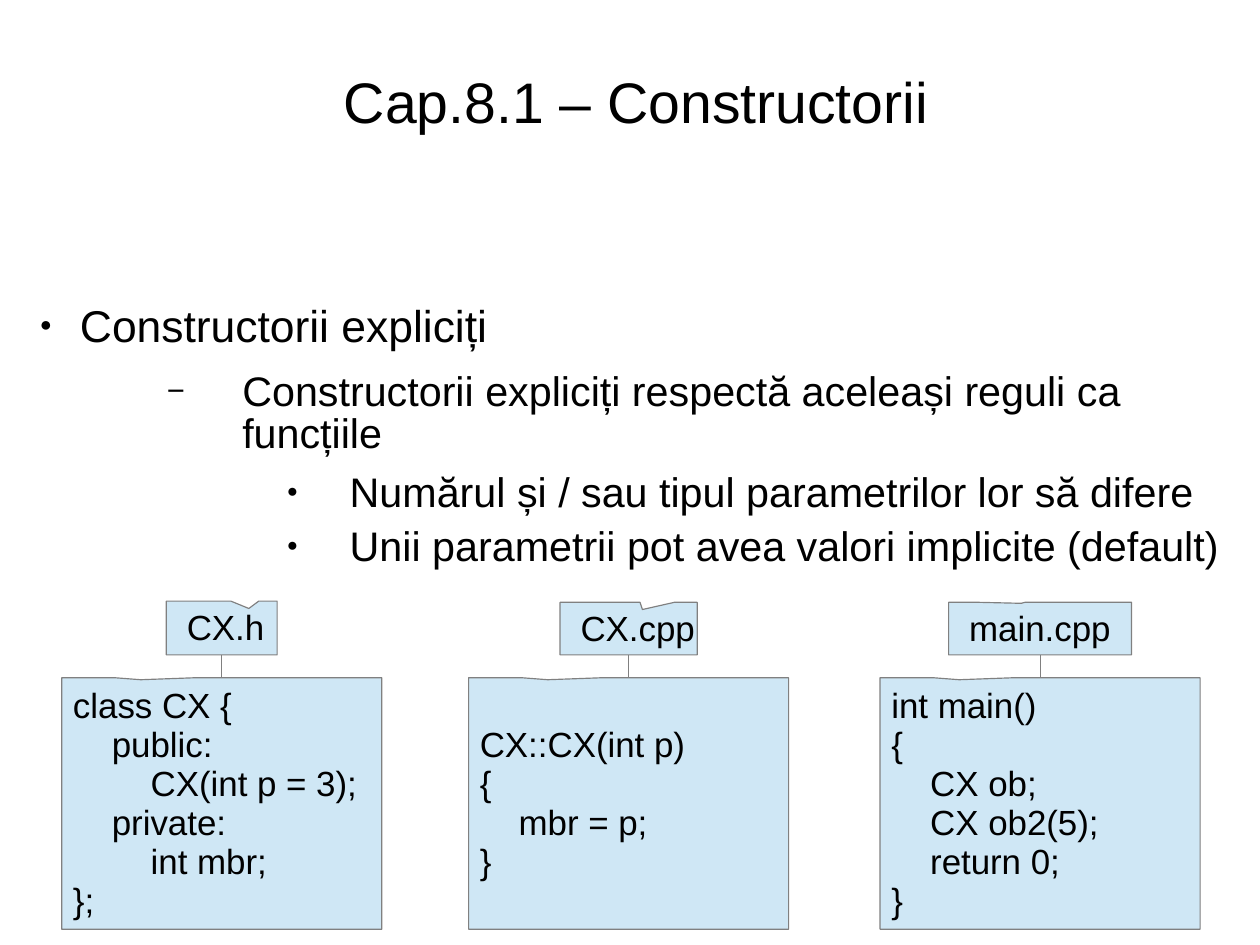
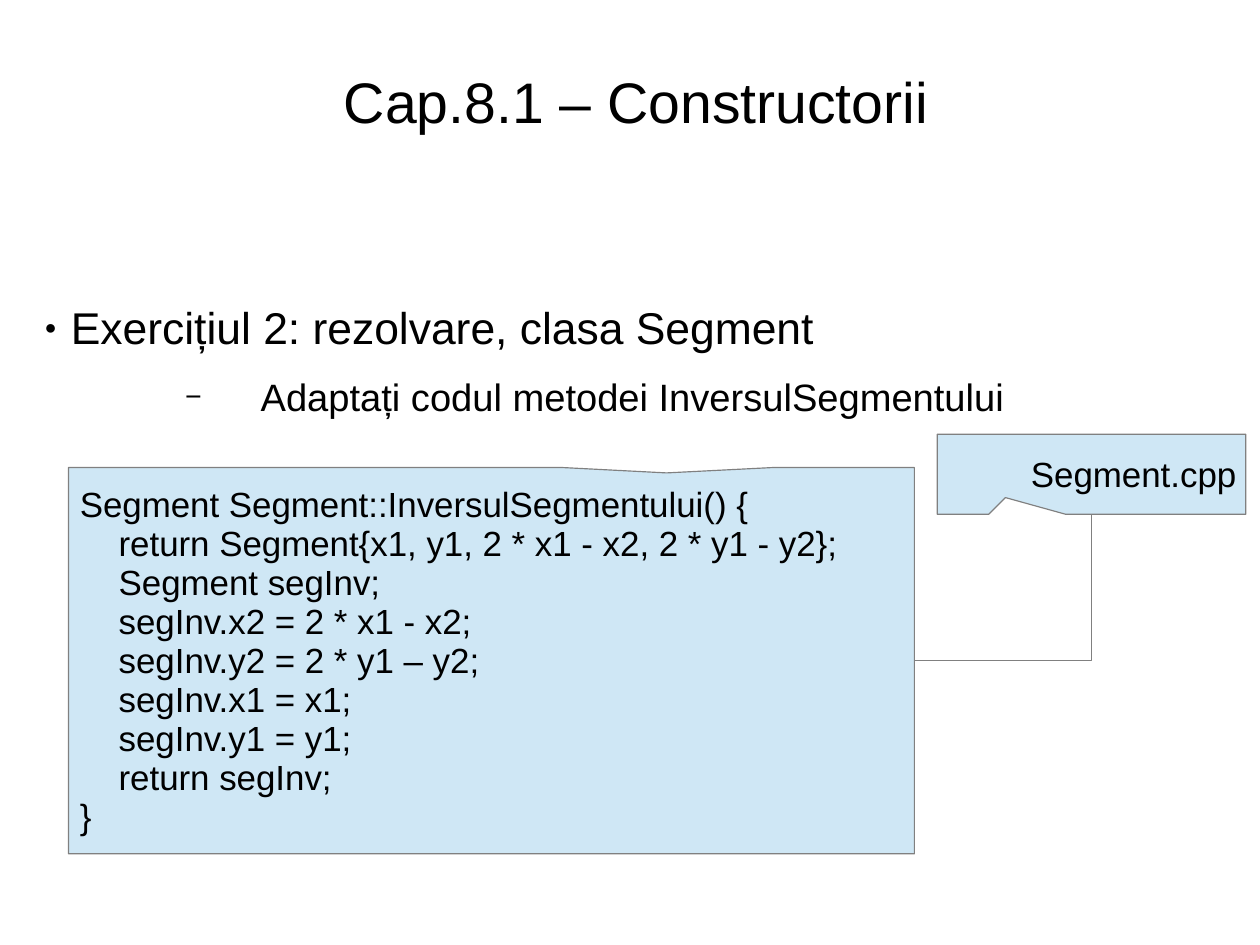
import pptx
import pptx.dml.color
import pptx.enum.shapes
import pptx.enum.text
import pptx.oxml.ns
import pptx.util
from lxml import etree

Inches = pptx.util.Inches
Pt = pptx.util.Pt
Anchor = pptx.enum.text.MSO_ANCHOR
Align = pptx.enum.text.PP_ALIGN
qn = pptx.oxml.ns.qn

BLACK = pptx.dml.color.RGBColor(0x00, 0x00, 0x00)
PALE_BLUE = pptx.dml.color.RGBColor(0xCF, 0xE7, 0xF5)
GRAY = pptx.dml.color.RGBColor(0x80, 0x80, 0x80)
FONT = "Arial"
TITLE = "Cap.8.1 – Constructorii"
CODE_SIZE = 22
CODE_INDENT = 0.34
BULLETS = {"●": 45, "−": 75}  # character and its size in percent


def write_text(shape, lines, *, levels, anchor=Anchor.TOP, align=Align.LEFT,
               insets=(0, 0.03, 0, 0), spacing=0.93):
    """Write (level, text) lines; levels holds the format of each level."""
    frame = shape.text_frame
    frame.word_wrap = True
    frame.auto_size = pptx.enum.text.MSO_AUTO_SIZE.NONE
    frame.vertical_anchor = anchor
    (frame.margin_left, frame.margin_top,
     frame.margin_right, frame.margin_bottom) = [Inches(inset) for inset in insets]
    for index, (level, text) in enumerate(lines):
        style = levels[level]
        paragraph = frame.add_paragraph() if index else frame.paragraphs[0]
        paragraph.level = level
        paragraph.alignment = align
        paragraph.line_spacing = spacing
        paragraph.space_before = Pt(0)
        paragraph.space_after = Pt(style.get("after", 0))
        properties = paragraph._p.get_or_add_pPr()
        properties.set("marL", str(Inches(style.get("left", 0))))
        properties.set("indent", str(Inches(-style.get("hanging", 0))))
        bullet = style.get("bullet")
        if bullet:
            color = etree.SubElement(properties, qn("a:buClr"))
            etree.SubElement(color, qn("a:srgbClr"), val=str(BLACK))
            etree.SubElement(properties, qn("a:buSzPct"), val=str(BULLETS[bullet] * 1000))
            etree.SubElement(properties, qn("a:buFont"), typeface=FONT)
            etree.SubElement(properties, qn("a:buChar"), char=bullet)
        run = paragraph.add_run()
        run.text = text
        run.font.name = FONT
        run.font.size = Pt(style["size"])
        run.font.color.rgb = BLACK


def add_callout(slide, box, pointer, lines, left_inset=0.1, right_inset=0.1):
    shape = slide.shapes.add_shape(
        pptx.enum.shapes.MSO_SHAPE.RECTANGULAR_CALLOUT, *[Inches(length) for length in box])
    shape.shadow.inherit = False
    shape.fill.solid()
    shape.fill.fore_color.rgb = PALE_BLUE
    shape.line.color.rgb = GRAY
    shape.line.width = Pt(0.75)
    for index, value in enumerate(pointer):
        shape.adjustments[index] = value
    code_levels = [{"size": CODE_SIZE, "left": level * CODE_INDENT} for level in range(3)]
    write_text(shape, lines, levels=code_levels, anchor=Anchor.MIDDLE,
               insets=(left_inset, 0.07, right_inset, 0.05))


# The page is a metric format, 28 by 21 cm
presentation = pptx.Presentation()
presentation.slide_width = Inches(28 / 2.54)
presentation.slide_height = Inches(21 / 2.54)

# Title and outline of each slide
outlines = [
    {
        "box": (0.23, 2.66, 10.46, 2.52),
        "spacing": 0.83,
        "levels": [
            {"size": 28, "left": 0.47, "hanging": 0.35, "after": 14.1, "bullet": "●"},
            {"size": 26, "left": 1.89, "hanging": 0.66, "after": 11.4, "bullet": "−"},
            {"size": 26, "left": 2.83, "hanging": 0.55, "after": 8.5, "bullet": "●"},
        ],
        "lines": [
            (0, "Constructorii expliciți"),
            (1, "Constructorii expliciți respectă aceleași reguli ca funcțiile"),
            (2, "Numărul și / sau tipul parametrilor lor să difere"),
            (2, "Unii parametrii pot avea valori implicite (default)"),
        ],
    },
    {
        "box": (0.39, 2.64, 10.31, 4.7),
        "spacing": 0.93,
        "levels": [
            {"size": 28, "left": 0.23, "hanging": 0.23, "after": 14.1, "bullet": "●"},
            {"size": 24, "left": 1.89, "hanging": 0.66, "after": 11.4, "bullet": "−"},
        ],
        "lines": [
            (0, "Exercițiul 2: rezolvare, clasa Segment"),
            (1, "Adaptați codul metodei InversulSegmentului"),
        ],
    },
]
for outline in outlines:
    slide = presentation.slides.add_slide(presentation.slide_layouts[5])
    title = slide.shapes.title
    title.left, title.top = Inches(0.36), Inches(0.28)
    title.width, title.height = Inches(10.41), Inches(1.24)
    write_text(title, [(0, TITLE)], levels=[{"size": 36}],
               anchor=Anchor.MIDDLE, align=Align.CENTER)
    text_box = slide.shapes.add_textbox(*[Inches(length) for length in outline["box"]])
    write_text(text_box, outline["lines"], levels=outline["levels"],
               spacing=outline["spacing"])
constructors_slide, exercise_slide = presentation.slides

# Three source files, each with its name above its code
CODE_TOP, CODE_WIDTH, CODE_HEIGHT = 5.93, 2.8, 2.2
NAME_BOTTOM = 5.73
source_files = [
    ("CX.h", 0.54, 0.97, 0.47, (0.245, -0.363), [
        (0, "class CX {"),
        (1, "public:"),
        (2, "CX(int p = 3);"),
        (1, "private:"),
        (2, "int mbr;"),
        (0, "};"),
    ]),
    ("CX.cpp", 4.1, 1.2, 0.46, (0.101, -0.363), [
        (0, "CX::CX(int p)"),
        (0, "{"),
        (1, "mbr = p;"),
        (0, "}"),
    ]),
    ("main.cpp", 7.7, 1.6, 0.46, (-0.103, -0.481), [
        (0, "int main()"),
        (0, "{"),
        (1, "CX ob;"),
        (1, "CX ob2(5);"),
        (1, "return 0;"),
        (0, "}"),
    ]),
]
connectors = []
for name, left, name_width, name_height, pointer, code in source_files:
    center = left + CODE_WIDTH / 2
    add_callout(constructors_slide, (left, CODE_TOP, CODE_WIDTH, CODE_HEIGHT),
                (-0.253, -0.492), code)
    add_callout(constructors_slide,
                (center - name_width / 2, NAME_BOTTOM - name_height, name_width, name_height),
                pointer, [(0, name)], left_inset=0.18, right_inset=0)
    connectors.append(constructors_slide.shapes.add_connector(
        pptx.enum.shapes.MSO_CONNECTOR.STRAIGHT,
        Inches(center), Inches(NAME_BOTTOM), Inches(center), Inches(CODE_TOP)))

# Solution of the exercise
add_callout(exercise_slide, (0.6, 4.09, 7.4, 3.38), (0.207, -0.486), [
    (0, "Segment Segment::InversulSegmentului() {"),
    (1, "return Segment{x1, y1, 2 * x1 - x2, 2 * y1 - y2};"),
    (1, "Segment segInv;"),
    (1, "segInv.x2 = 2 * x1 - x2;"),
    (1, "segInv.y2 = 2 * y1 – y2;"),
    (1, "segInv.x1 = x1;"),
    (1, "segInv.y1 = y1;"),
    (1, "return segInv;"),
    (0, "}"),
])
add_callout(exercise_slide, (8.2, 3.8, 2.7, 0.7), (-0.279, 0.291),
            [(0, "Segment.cpp")], left_inset=0.82, right_inset=0)
elbow = exercise_slide.shapes.add_connector(
    pptx.enum.shapes.MSO_CONNECTOR.ELBOW,
    Inches(8), Inches(5.78), Inches(9.55), Inches(4.5))
elbow._element.spPr.find(qn("a:prstGeom")).set("prst", "bentConnector2")
connectors.append(elbow)

for connector in connectors:
    connector.line.color.rgb = GRAY
    connector.line.width = Pt(0.75)
    etree.SubElement(connector._element.spPr, qn("a:effectLst"))

presentation.save("out.pptx")
